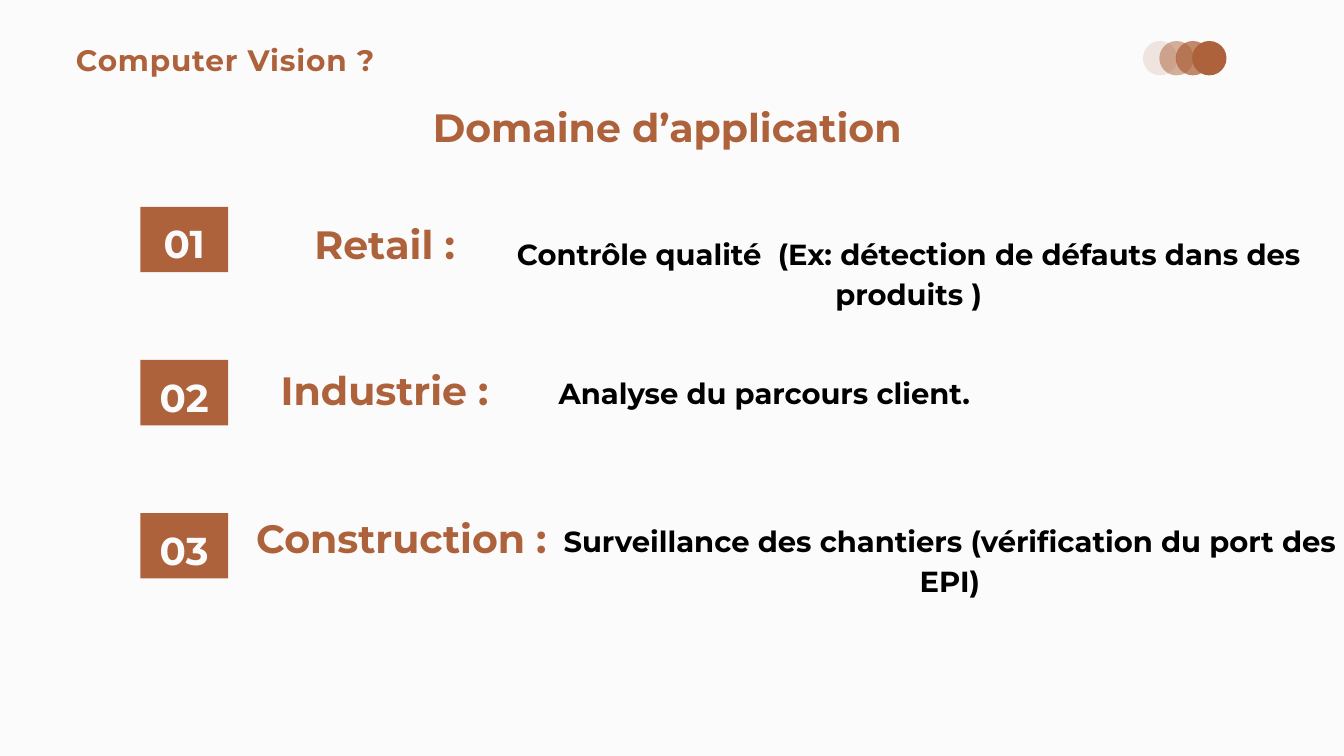
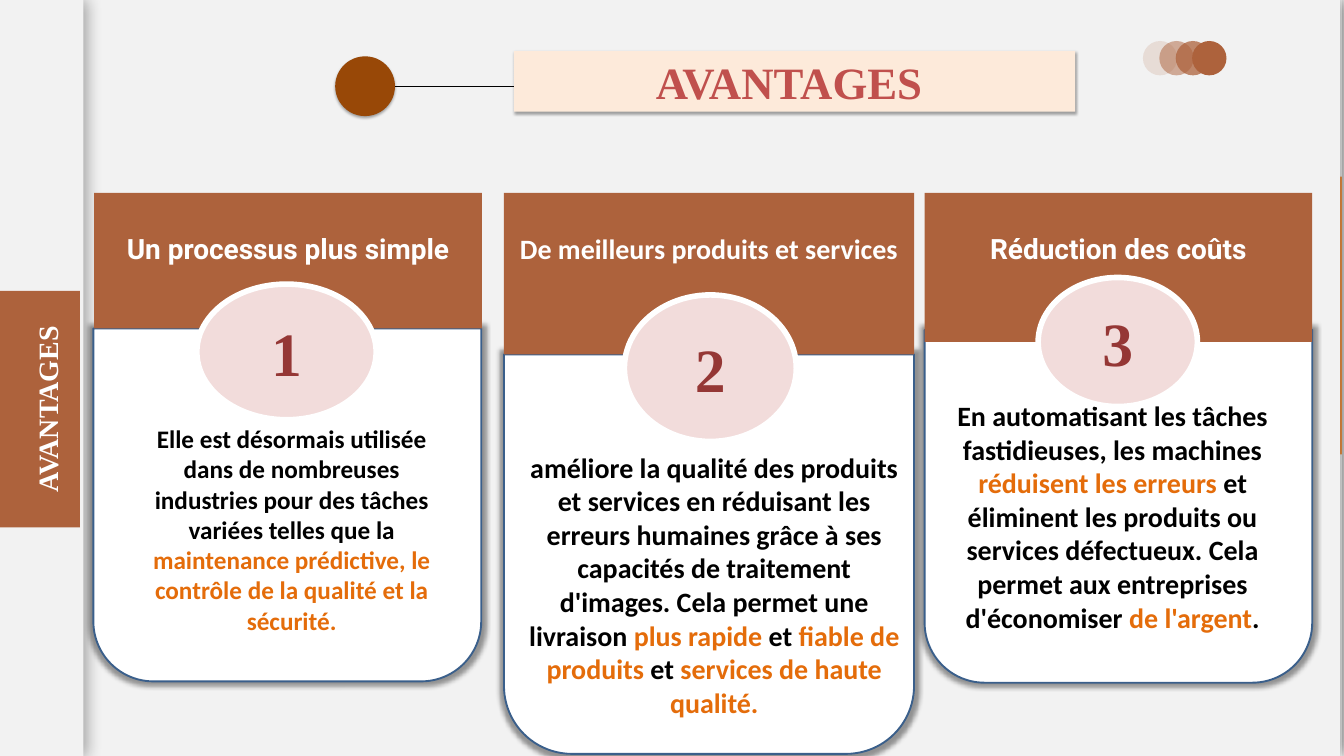
from lxml import etree
from pptx import Presentation
from pptx.dml.color import RGBColor
from pptx.enum import shapes, text
from pptx.oxml.ns import qn
from pptx.util import Cm, Pt

COLOURS = {
    "copper": "AD623C", "paper": "FBFBFC", "white": "FFFFFF", "black": "000000",
    "panel": "F2F2F2", "orange": "F79646", "accent": "E46C0A", "brown": "984807",
    "peach": "FDEADA", "red": "C0504D", "rose": "F2DCDB", "wine": "953735",
    "outline": "3A5F8B",
}
WIDTH, HEIGHT = 50.8, 28.58
PAD = (0.25, 0.13, 0.25, 0.13)
NO_PAD = (0, 0, 0, 0)
MIDDLE, TOP = text.MSO_ANCHOR.MIDDLE, text.MSO_ANCHOR.TOP
CENTRE, LEFT = text.PP_ALIGN.CENTER, text.PP_ALIGN.LEFT
RECTANGLE, OVAL = shapes.MSO_SHAPE.RECTANGLE, shapes.MSO_SHAPE.OVAL


# Text styles
def style(name, size):
    return {"name": name, "size": Pt(size), "bold": True}


HEADING = style("Montserrat", 42.3)
DETAIL = style("Montserrat", 31.1)
BADGE = style("Montserrat", 41.6)
TOPIC = style("Montserrat", 31.7)
BANNER = style("Times New Roman", 48)
NUMBER = style("Times New Roman", 66)
TAB = style("Times New Roman", 30)

# Shadows: opacity %, blur pt, distance pt, direction degrees, scale %
PANEL_SHADOW = (35, 17, 3, 0, 100)
BANNER_SHADOW = (35, 3.1, 1.8, 90, 100)
CARD_SHADOW = (40, 5, 0, 0, 102)

# Box as left, top, width, height in cm
DOMAINS = [
    ("Retail :", (9.42, 8.51, 10.24, 1.63),
     "Contrôle qualité  (Ex: détection de défauts dans des produits )",
     (18.52, 8.71, 31.65, 3.07)),
    ("Industrie :", (9.42, 14.02, 10.24, 1.63),
     "Analyse du parcours client.", (19.71, 13.97, 18.36, 1.52)),
    ("Construction :", (9.42, 19.61, 11.51, 1.63),
     "Surveillance des chantiers (vérification du port des EPI)",
     (21, 19.56, 29.8, 3.07)),
]

BENEFITS = [
    {"title": "Un processus plus simple", "font": "Roboto", "size": 27,
     "head": (3.56, 7.29, 14.66, 5.13), "card": (3.53, 12.42, 14.66, 13.34),
     "oval": (7.44, 10.74, 6.78, 5.13), "body": (5.31, 15.88, 11.43, 8.6),
     "spans": [
         ("Elle est désormais utilisée dans de nombreuses industries pour des "
          "tâches variées telles que la ", "black"),
         ("maintenance prédictive, le contrôle de la qualité et la sécurité.",
          "accent")]},
    {"title": "De meilleurs produits et services", "font": "Calibri", "size": 30,
     "head": (19.05, 7.29, 15.5, 6.11), "card": (19.05, 13.4, 15.5, 15.1),
     "oval": (23.6, 11.15, 6.5, 5.54), "body": (19.61, 16.89, 14.78, 11.68),
     "spans": [
         ("améliore la qualité des produits et services en réduisant les erreurs "
          "humaines grâce à ses capacités de traitement d'images. Cela permet une "
          "livraison ", "black"),
         ("plus rapide ", "accent"), ("et ", "black"),
         ("fiable de produits", "accent"), (" et ", "black"),
         ("services de haute qualité.", "accent")]},
    {"title": "Réduction des coûts", "font": "Roboto", "size": 30,
     "head": (34.95, 7.29, 14.65, 5.64), "card": (34.95, 12.47, 14.65, 13.34),
     "oval": (39.24, 10.49, 6.02, 4.88), "body": (35.92, 14.94, 12.27, 10.3),
     "spans": [
         ("En automatisant les tâches fastidieuses, les machines ", "black"),
         ("réduisent les erreurs ", "accent"),
         ("et éliminent les produits ou services défectueux. Cela permet aux "
          "entreprises d'économiser ", "black"),
         ("de l'argent", "accent"), (".", "black")]},
]


# Building blocks
def rgb(colour):
    return RGBColor.from_string(COLOURS[colour])


def place(shape, box):
    for side, length in zip(("left", "top", "width", "height"), box):
        setattr(shape, side, Cm(length))


def write(shape, spans, font, spacing=None, align=CENTRE, anchor=TOP, pad=PAD):
    """Fill a shape with one paragraph made of (words, colour) spans."""
    frame = shape.text_frame
    settings = {"word_wrap": True, "auto_size": text.MSO_AUTO_SIZE.NONE,
                "vertical_anchor": anchor}
    for side, length in zip(("left", "top", "right", "bottom"), pad):
        settings["margin_" + side] = Cm(length)
    for key, value in settings.items():
        setattr(frame, key, value)
    para = frame.paragraphs[0]
    para.alignment = align
    if spacing:
        para.line_spacing = Pt(spacing)
    for words, colour in spans:
        span = para.add_run()
        span.text = words
        for key, value in font.items():
            setattr(span.font, key, value)
        span.font.color.rgb = rgb(colour)


def add_text(page, box, spans, font, **layout):
    label = page.shapes.add_textbox(*map(Cm, box))
    write(label, spans, font, **layout)
    return label


def paint(shape, fill, outline=None, shadow=None):
    shape.fill.solid()
    shape.fill.fore_color.rgb = rgb(fill)
    if outline:
        colour, width = outline
        shape.line.color.rgb = rgb(colour)
        shape.line.width = Pt(width)
    else:
        shape.line.fill.background()
    shape.shadow.inherit = False
    if shadow:
        cast_shadow(shape, *shadow)


def cast_shadow(shape, opacity, blur, distance, angle, scale):
    effects = shape.element.spPr.find(qn("a:effectLst"))
    outer = etree.SubElement(
        effects, qn("a:outerShdw"), blurRad=str(Pt(blur)), dist=str(Pt(distance)),
        dir=str(angle * 60000), sx=str(scale * 1000), sy=str(scale * 1000),
        algn="ctr", rotWithShape="0")
    colour = etree.SubElement(outer, qn("a:srgbClr"), val=COLOURS["black"])
    etree.SubElement(colour, qn("a:alpha"), val=str(opacity * 1000))


def add_block(page, kind, box, fill, **look):
    block = page.shapes.add_shape(kind, *map(Cm, box))
    paint(block, fill, **look)
    return block


def add_line(page, start, end):
    line = page.shapes.add_connector(
        shapes.MSO_CONNECTOR.STRAIGHT, *map(Cm, start + end))
    line.line.color.rgb = rgb("black")
    line.line.width = Pt(1)
    etree.SubElement(line.element.spPr, qn("a:effectLst"))


def add_title(page, box, words, colour, font, **layout):
    """Place the title placeholder in front of what is already drawn."""
    title = page.shapes.title
    place(title, box)
    write(title, [(words, colour)], font, **layout)
    title.element.getparent().append(title.element)
    return title


def add_dots(page):
    for index, opacity in enumerate((15, 50, 75, 100)):
        dot = add_block(page, OVAL, (43.2 + 0.62 * index, 1.55, 1.3, 1.3), "copper")
        if opacity < 100:
            colour = dot.element.spPr.find(".//" + qn("a:srgbClr"))
            etree.SubElement(colour, qn("a:alpha"), val=str(opacity * 1000))


def add_page(deck, background):
    page = deck.slides.add_slide(deck.slide_layouts[5])
    page.background.fill.solid()
    page.background.fill.fore_color.rgb = rgb(background)
    return page


def add_benefit(page, number, benefit):
    card = add_block(page, shapes.MSO_SHAPE.ROUND_2_SAME_RECTANGLE, benefit["card"],
                     "white", outline=("outline", 2), shadow=CARD_SHADOW)
    card.adjustments[0], card.adjustments[1] = 0, 0.17
    add_text(page, benefit["body"], benefit["spans"],
             style("Calibri", benefit["size"]))
    head = add_block(page, RECTANGLE, benefit["head"], "copper")
    write(head, [(benefit["title"], "white")], style(benefit["font"], 30),
          spacing=37.1, pad=(0.25, 1.44, 0.25, 0.13))
    oval = add_block(page, OVAL, benefit["oval"], "rose", outline=("white", 6))
    write(oval, [(str(number), "wine")], NUMBER, anchor=MIDDLE)


# Slides
def build_domains(deck):
    page = add_page(deck, "paper")
    add_dots(page)
    topic = add_text(page, (2.87, 1.35, 11.53, 1.57),
                     [("Computer Vision ?", "copper")], TOPIC,
                     spacing=44.3, align=LEFT, pad=NO_PAD)
    topic.text_frame.paragraphs[0].runs[0].font._element.set("spc", "90")
    add_title(page, (15.39, 4.09, 19.66, 1.63), "Domaine d’application", "copper",
              HEADING, spacing=45.7, pad=NO_PAD)
    for index, (name, name_box, detail, detail_box) in enumerate(DOMAINS):
        badge = add_block(page, RECTANGLE, (5.31, 7.82 + 5.79 * index, 3.31, 2.47),
                          "copper")
        write(badge, [(f"{index + 1:02}", "paper")], BADGE, spacing=58.2,
              anchor=MIDDLE, pad=NO_PAD)
        add_text(page, name_box, [(name, "copper")], HEADING, spacing=45.7,
                 pad=NO_PAD)
        add_text(page, detail_box, [(detail, "black")], DETAIL, spacing=43.5,
                 pad=NO_PAD)


def build_benefits(deck):
    page = add_page(deck, "white")

    # Stacked panels and side tabs
    add_block(page, RECTANGLE, (0.33, 0, 50.39, HEIGHT), "panel", shadow=PANEL_SHADOW)
    add_block(page, RECTANGLE, (50.45, 6.68, 0.27, 10.5), "orange")
    add_block(page, RECTANGLE, (0.25, 0, 50.4, HEIGHT), "panel", shadow=PANEL_SHADOW)
    add_block(page, RECTANGLE, (0, 0, 3.15, HEIGHT), "panel", shadow=PANEL_SHADOW)
    tab = add_block(page, RECTANGLE, (-2.96, 13.96, 8.94, 3.02), "copper")
    tab.rotation = 270
    write(tab, [("AVANTAGES", "white")], TAB, anchor=MIDDLE, pad=(0.25, 0.53, 0.25, 0))

    # Title banner
    add_line(page, (14.94, 3.25), (19.43, 3.25))
    add_block(page, OVAL, (12.67, 2.13, 2.26, 2.26), "brown", shadow=BANNER_SHADOW)
    banner = add_title(page, (19.43, 1.93, 21.21, 2.29), "AVANTAGES ", "red", BANNER,
                       anchor=MIDDLE)
    paint(banner, "peach", shadow=BANNER_SHADOW)

    for number, benefit in enumerate(BENEFITS, 1):
        add_benefit(page, number, benefit)
    add_dots(page)


def main():
    deck = Presentation()
    deck.slide_width, deck.slide_height = Cm(WIDTH), Cm(HEIGHT)
    build_domains(deck)
    build_benefits(deck)
    deck.save("out.pptx")


if __name__ == "__main__":
    main()
